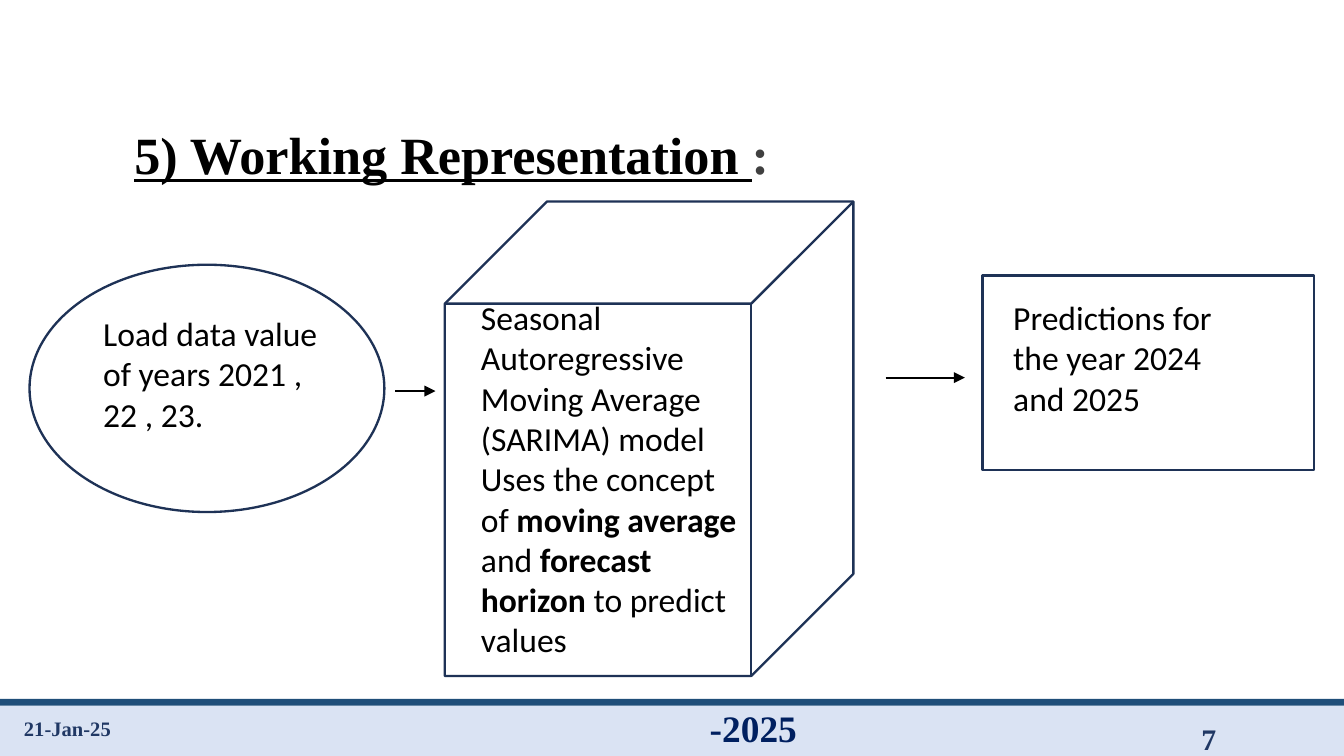
from pptx import Presentation
from pptx.dml.color import RGBColor as RGB
from pptx.enum.shapes import MSO_CONNECTOR as Con, MSO_SHAPE as Kind
from pptx.enum.text import MSO_ANCHOR as Anchor, MSO_AUTO_SIZE as Auto, PP_ALIGN as Align
from pptx.oxml.ns import qn
from pptx.util import Inches, Pt
from lxml.etree import SubElement as Sub

HUES = {"band": "DAE3F3", "rule": "1F4E79", "edge": "1E3256", "year": "002060",
        "foot": "203864", "ink": "000000", "grey": "404040"}
HEAD = {"name": "Times New Roman", "size": Pt(28), "bold": True}
FOOT = {"name": "Times New Roman", "bold": True}
BODY = {"name": "Calibri", "size": Pt(18)}


class Deck:
    """Holds the text style and the current slide, and draws each kind of element."""

    def __init__(self, wide, high):
        self.prs = Presentation()
        self.prs.slide_width, self.prs.slide_height = Inches(wide), Inches(high)
        self.slide = self.prs.slides.add_slide(self.prs.slide_layouts[5])
        self.items = self.slide.shapes

    def run(self, para, text, hue, **style):
        run = para.add_run()
        run.text = text
        for key, value in style.items():
            setattr(run.font, key, value)
        run.font.color.rgb = RGB.from_string(HUES[hue])
        return run

    def title(self, box, text, mark):
        head = self.items.title
        head.left, head.top, head.width, head.height = map(Inches, box)
        frame = head.text_frame
        frame.auto_size, frame.vertical_anchor = Auto.NONE, Anchor.BOTTOM
        para = frame.paragraphs[0]
        para.alignment, para.line_spacing = Align.LEFT, 0.85
        self.run(para, text, "ink", underline=True, **HEAD)
        last = self.run(para, mark, "grey", underline=False, **HEAD)
        last.font._element.set("spc", "-40")

    def text(self, box, paras, hue="ink", align=Align.LEFT, fit=Auto.NONE, **style):
        frame = self.items.add_textbox(*map(Inches, box)).text_frame
        frame.word_wrap, frame.auto_size = True, fit
        for i, runs in enumerate(paras):
            para = frame.add_paragraph() if i else frame.paragraphs[0]
            para.alignment = align
            for text, bold in runs:
                self.run(para, text, hue, **{**style, "bold": bold})

    def note(self, box, *paras):
        self.text(box, paras, fit=Auto.SHAPE_TO_FIT_TEXT, **BODY)

    def label(self, box, text, hue, size, align=Align.LEFT):
        self.text(box, [[(text, True)]], hue, align, size=Pt(size), **FOOT)

    def shape(self, kind, box, fill=None, line=None):
        item = self.items.add_shape(kind, *map(Inches, box))
        item.shadow.inherit = False
        for part, hue in ((item.fill, fill), (item.line.fill, line)):
            if hue:
                part.solid()
                part.fore_color.rgb = RGB.from_string(HUES[hue])
            else:
                part.background()
        if line:
            item.line.width = Pt(1.25)

    def arrow(self, left, right, y):
        item = self.items.add_connector(Con.STRAIGHT, *map(Inches, (left, y, right, y)))
        item.line.color.rgb = RGB.from_string(HUES["ink"])
        item.line.width = Pt(1)
        Sub(item.line._get_or_add_ln(), qn("a:tailEnd"), type="triangle")
        Sub(item._element.spPr, qn("a:effectLst"))


def main():
    deck = Deck(10, 10 * 9 / 16)
    deck.shape(Kind.RECTANGLE, (0, 5.25, 10, 0.38), fill="band")
    deck.shape(Kind.RECTANGLE, (0, 5.2, 10, 0.05), fill="rule")
    deck.label((5.17, 5.2, 0.87, 0.3), "-2025", "year", 20, Align.CENTER)
    deck.title((0.9, 0.46, 7.94, 0.97), "5) Working Representation ", ":")
    deck.label((0.08, 5.28, 0.89, 0.3), "21-Jan-25", "foot", 11)
    deck.label((8.84, 5.31, 1.08, 0.3), "7", "foot", 16)

    for kind, box in ((Kind.RECTANGLE, (7.31, 2.05, 2.47, 1.45)),
                      (Kind.OVAL, (0.22, 1.97, 2.64, 1.84)),
                      (Kind.CUBE, (3.31, 1.5, 3.04, 3.53))):
        deck.shape(kind, box, line="edge")
    deck.arrow(2.94, 3.24, 2.91)
    deck.arrow(6.59, 7.18, 2.81)

    deck.note((0.67, 2.28, 1.8, 1.01), [("Load data value of years 2021 , 22 , 23.", False)])
    deck.note((3.48, 2.16, 2.18, 2.83),
              [("Seasonal Autoregressive Moving Average (SARIMA) model", False)],
              [("Uses the concept of ", False), ("moving average ", True), ("and ", False),
               ("forecast horizon", True), (" to predict values", False)])
    deck.note((7.44, 2.16, 2.02, 1.31), [("Predictions for the year 2024 and 2025", False)])
    deck.prs.save("out.pptx")


if __name__ == "__main__":
    main()
